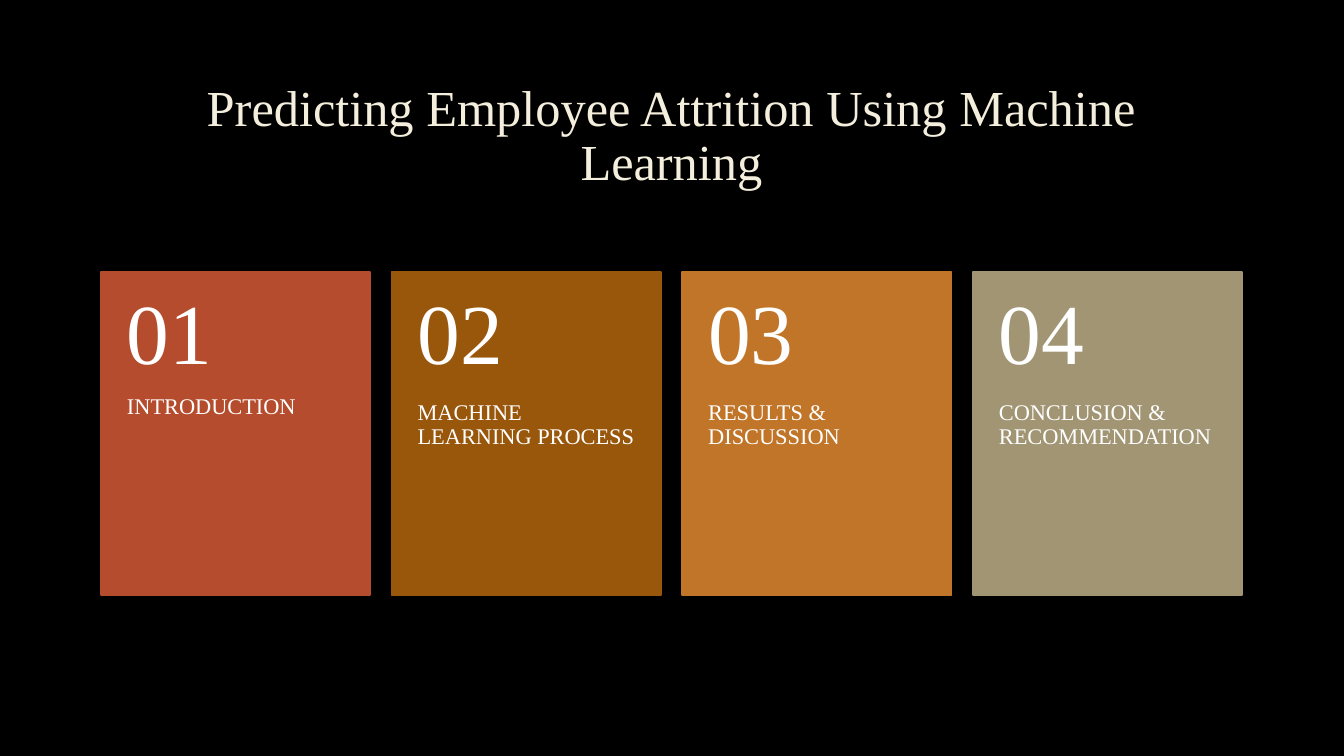
from pptx import Presentation
from pptx import util as u
from pptx.dml.color import RGBColor
from pptx.enum import shapes, text

CARDS = [
    ("01", "INTRODUCTION", "B54C2D"),
    ("02", "MACHINE LEARNING PROCESS", "99570C"),
    ("03", "RESULTS & DISCUSSION", "C17529"),
    ("04", "CONCLUSION & RECOMMENDATION", "A19574"),
]


def color(value):
    return RGBColor.from_string(value)


class AgendaSlide:
    """Style, column grid and current slide."""
    font = "Times New Roman"
    background, cream, white = "000000", "F4EEDC", "FFFFFF"
    left, width, gap = 1, 11.32, 0.21
    card_top, card_height = 2.7, 3.2
    number_share = 0.4

    def __init__(self, prs, columns):
        self.s = prs.slides.add_slide(prs.slide_layouts[6])
        fill = self.s.background.fill
        fill.solid()
        fill.fore_color.rgb = color(self.background)
        self.col_width = (self.width - (columns - 1) * self.gap) / columns

    def col_left(self, col):
        return self.left + col * (self.col_width + self.gap)

    def add_text(self, box, words, size, ink, insets,
                 anchor=text.MSO_ANCHOR.TOP, align=text.PP_ALIGN.LEFT):
        sp = self.s.shapes.add_textbox(*map(u.Inches, box))
        tf = sp.text_frame
        tf.word_wrap = True
        tf.vertical_anchor = anchor
        (tf.margin_left, tf.margin_top,
         tf.margin_right, tf.margin_bottom) = map(u.Inches, insets)
        p = tf.paragraphs[0]
        p.alignment = align
        p.line_spacing = 0.9
        r = p.add_run()
        r.text = words
        r.font.name = self.font
        r.font.size = u.Pt(size)
        r.font.color.rgb = color(ink)

    def add_title(self, words):
        self.add_text((self.left, 0.67, self.width, 1.38), words, 36,
                      self.cream, (0.1, 0.05, 0.1, 0.05),
                      text.MSO_ANCHOR.MIDDLE, text.PP_ALIGN.CENTER)

    def add_panel(self, box, fill):
        sp = self.s.shapes.add_shape(shapes.MSO_SHAPE.RECTANGLE,
                                     *map(u.Inches, box))
        sp.shadow.inherit = False
        sp.fill.solid()
        sp.fill.fore_color.rgb = color(fill)
        sp.line.color.rgb = color(fill)
        sp.line.width = u.Pt(1.25)

    def add_card(self, col, number, label, fill):
        x, w = self.col_left(col), self.col_width
        number_height = self.card_height * self.number_share
        self.add_panel((x, self.card_top, w, self.card_height), fill)
        self.add_text((x, self.card_top + number_height, w,
                       self.card_height - number_height),
                      label, 16, self.white, (0.26, 0, 0.26, 0.36))
        self.add_text((x, self.card_top, w, number_height), number, 61,
                      self.white, (0.26, 0.18, 0.26, 0.18),
                      text.MSO_ANCHOR.MIDDLE)


def main():
    prs = Presentation()
    prs.slide_width, prs.slide_height = u.Inches(13.33), u.Inches(7.5)
    slide = AgendaSlide(prs, len(CARDS))

    # Title
    slide.add_title("Predicting Employee Attrition Using Machine Learning")

    # Agenda cards
    for col, card in enumerate(CARDS):
        slide.add_card(col, *card)

    prs.save("out.pptx")


if __name__ == "__main__":
    main()
